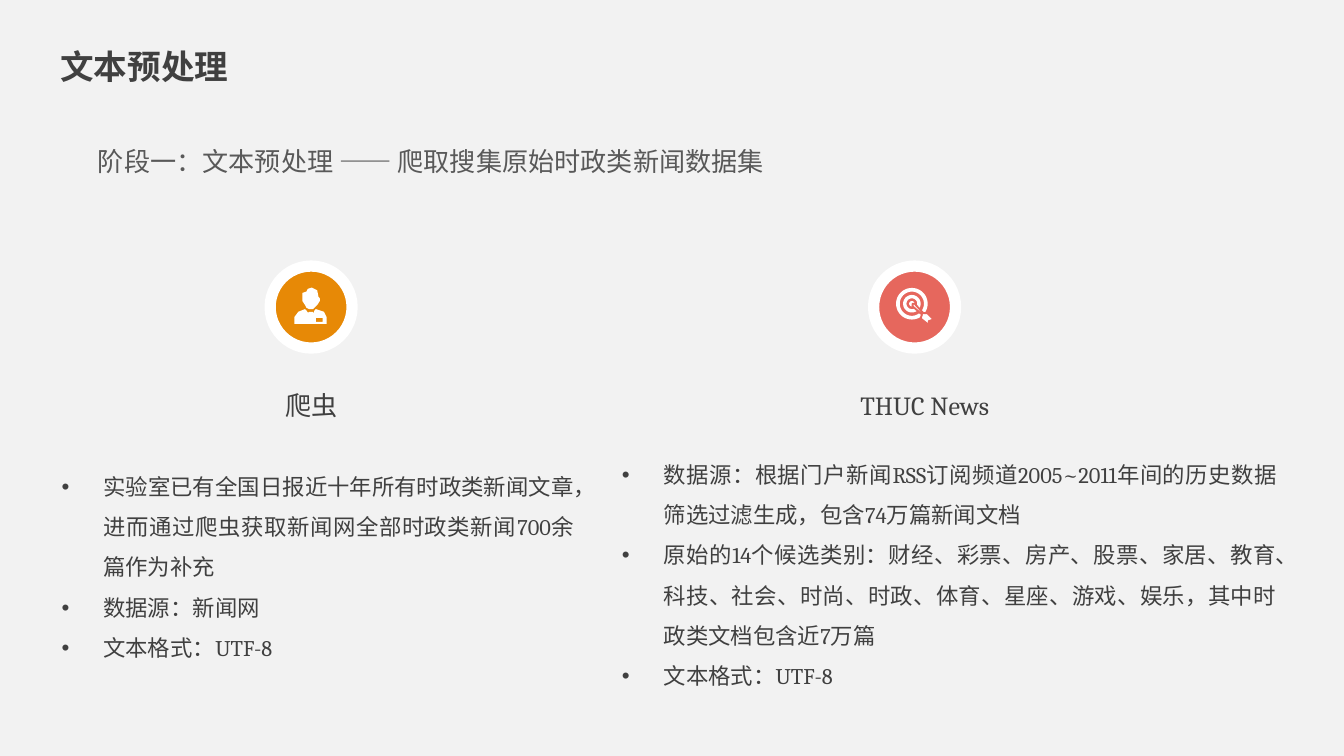
from math import cos, pi, sin

from lxml.etree import SubElement
from pptx import Presentation
from pptx.dml.color import RGBColor
from pptx.enum.shapes import MSO_SHAPE
from pptx.enum.text import MSO_AUTO_SIZE, PP_ALIGN
from pptx.oxml.ns import qn
from pptx.util import Pt

PX = 4572
HEX = {"back": "F2F2F2", "dark": "404040", "gray": "595959",
       "white": "FFFFFF", "gold": "E78906", "rose": "E6675D"}
SANS, ROMAN, SLIM = "Noto Sans CJK SC", "Cambria", "Roboto Condensed"
TITLE = {"size": Pt(18), "bold": True, "name": SANS}
HEAD = {"size": Pt(14), "name": SLIM}
BODY = {"size": Pt(12), "name": ROMAN}
LEAD = {"line_spacing": Pt(30.6)}
MID = {**LEAD, "alignment": PP_ALIGN.CENTER}
LIST = {"line_spacing": 1.5, "alignment": PP_ALIGN.JUSTIFY}

HAIR = [(1, -29), (9, -25), (11, -15), (13, -13), (13, -9), (9, -3), (5, 1), (3, 3),
        (-3, 3), (-7, 1), (-9, -3), (-13, -9), (-13, -21), (-7, -23), (-5, -27)]
COAT = [(-9, 3), (-7, 5), (-3, 11), (-5, 9), (-3, 7), (3, 7), (3, 11), (5, 5), (7, 3),
        (19, 7), (23, 15), (23, 25), (-25, 25), (-25, 15), (-19, 7)]
BADGE = [(7, 16), (17, 16), (17, 22), (7, 22)]
DART = [(-3, -5), (0, -5), (13, 9), (19, 9), (27, 17), (27, 19), (21, 21), (21, 25),
        (19, 25), (9, 17), (11, 11), (-3, -1)]


def tint(name):
    """Return the named colour."""
    return RGBColor.from_string(HEX[name])


def apply(item, form):
    """Set each format value on the item."""
    for key, value in form.items():
        setattr(item, key, value)


def dot(para):
    """Give the paragraph a hanging bullet."""
    props = para._p.get_or_add_pPr()
    props.set("marL", str(62 * PX))
    props.set("indent", str(-62 * PX))
    SubElement(props, qn("a:buFont")).set("typeface", "Arial")
    SubElement(props, qn("a:buChar")).set("char", "•")


def write(slide, box, lines, font, form, color="dark", bullet=False):
    """Place a text box with one paragraph for each line."""
    frame = slide.shapes.add_textbox(*(PX * n for n in box)).text_frame
    apply(frame, {"word_wrap": True, "auto_size": MSO_AUTO_SIZE.SHAPE_TO_FIT_TEXT})
    for i, line in enumerate(lines):
        para = frame.add_paragraph() if i else frame.paragraphs[0]
        if bullet:
            dot(para)
        apply(para, form)
        run = para.add_run()
        run.text = line
        apply(run.font, font)
        run.font.color.rgb = tint(color)
        SubElement(run._r.get_or_add_rPr(), qn("a:ea")).set("typeface", SANS)


def ring(size):
    """Return the points of a circle about the bullseye."""
    turns = [2 * pi * i / 48 for i in range(48)]
    return [(size * cos(t) - 4, size * sin(t) - 5) for t in turns]


def trace(group, mid, loops, edge=None):
    """Draw closed loops about a centre as one white outline."""
    x, y = mid
    sets = [[((x + a) * PX, (y + b) * PX) for a, b in loop] for loop in loops]
    pen = group.shapes.build_freeform(*sets[0][0], scale=1.0)
    for i, loop in enumerate(sets):
        if i:
            pen.move_to(*loop[0])
        pen.add_line_segments(loop[1:], close=True)
    shape = pen.convert_to_shape()
    paint(shape, "white", edge, 1)


def paint(shape, fill, edge, width):
    """Set fill and line of a flat shape."""
    shape.shadow.inherit = False
    shape.fill.solid()
    shape.fill.fore_color.rgb = tint(fill)
    if edge:
        shape.line.color.rgb = tint(edge)
        shape.line.width = Pt(width)
    else:
        shape.line.fill.background()


def person(group, mid, color):
    """Draw the person icon."""
    trace(group, mid, [HAIR, COAT, BADGE])


def target(group, mid, color):
    """Draw the target icon with its dart."""
    trace(group, mid, [ring(n) for n in (23.5, 18, 13, 8, 4)])
    trace(group, mid, [DART], color)


def medal(slide, box, color, icon):
    """Place a rimmed disc with an icon at its centre."""
    x, y, w, h = box
    group = slide.shapes.add_group_shape()
    disc = group.shapes.add_shape(MSO_SHAPE.OVAL, *(PX * n for n in box))
    paint(disc, color, "white", 6)
    icon(group, (x + w // 2, y + h // 2), color)


def column(slide, box, disc, head, span, label, font, lines):
    """Place a disc, a label and a list in the given box."""
    x, y, w, h = box
    color, icon, left = disc
    medal(slide, (x + left, y, 122, 122), color, icon)
    write(slide, (x + head, y + 136, span, 108), [label], font, MID)
    drop = 278 if icon is person else 260
    write(slide, (x, y + drop, w, h - drop), lines, BODY, LIST, bullet=True)


def header(slide, box):
    """Place the title and the stage line."""
    x, y, w, h = box
    write(slide, (x, y, 440, 80), ["文本预处理"], TITLE, {})
    write(slide, (x + 56, y + 110, w - 56, h - 110),
          ["阶段一：文本预处理 —— 爬取搜集原始时政类新闻数据集"], HEAD, LEAD, "gray")


def main():
    """Build and save the slide."""
    deck = Presentation()
    apply(deck, {"slide_width": 2000 * PX, "slide_height": 1125 * PX})
    slide = deck.slides.add_slide(deck.slide_layouts[6])
    slide.background.fill.solid()
    slide.background.fill.fore_color.rgb = tint("back")
    header(slide, (70, 58, 1930, 204))
    column(slide, (72, 396, 802, 602), ("gold", person, 330), 294, 196, "爬虫", HEAD,
           ["实验室已有全国日报近十年所有时政类新闻文章，进而通过爬虫获取新闻网全部时政类新闻700余篇作为补充",
            "数据源：新闻网", "文本格式：UTF-8"])
    column(slide, (906, 396, 1014, 644), ("rose", target, 394), 302, 336,
           "THUC News", {**HEAD, "name": ROMAN},
           ["数据源：根据门户新闻RSS订阅频道2005~2011年间的历史数据筛选过滤生成，包含74万篇新闻文档",
            "原始的14个候选类别：财经、彩票、房产、股票、家居、教育、科技、社会、时尚、时政、体育、星座、游戏、娱乐，其中时政类文档包含近7万篇",
            "文本格式：UTF-8"])
    deck.save("out.pptx")


if __name__ == "__main__":
    main()
